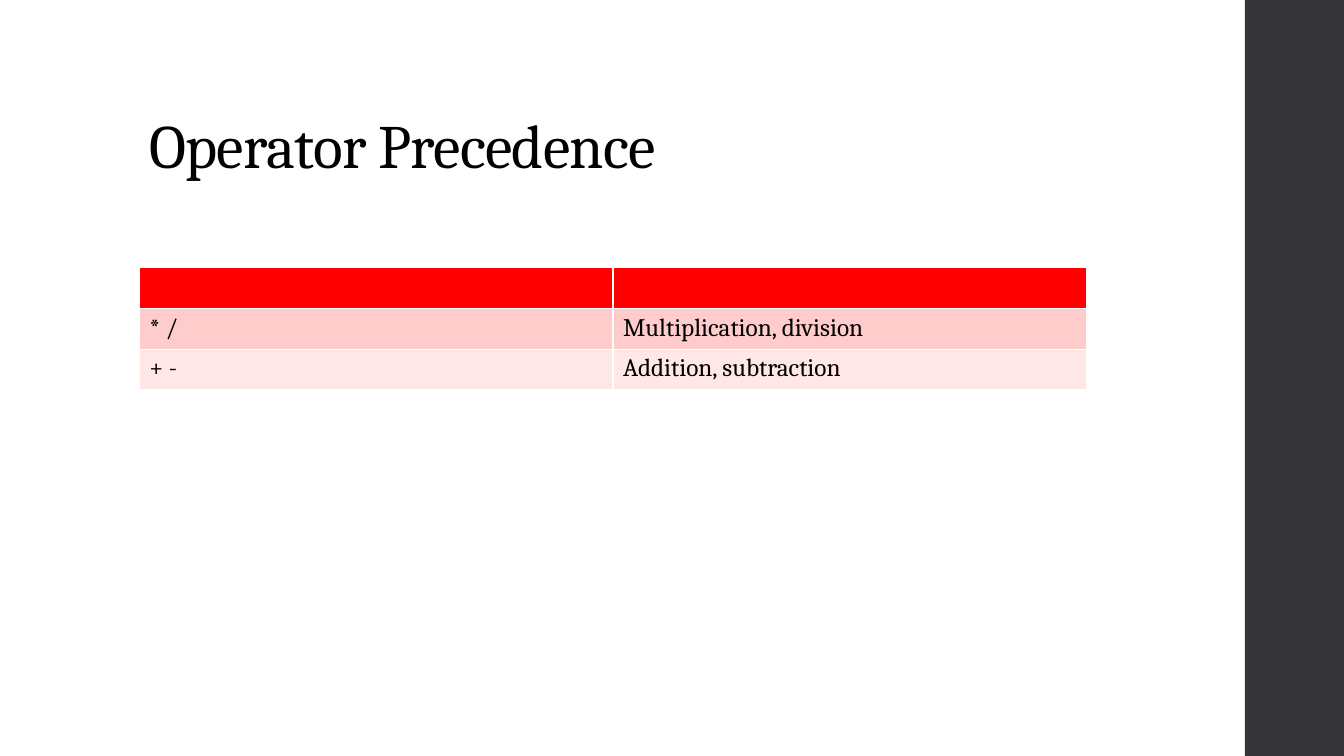
import pptx
import pptx.dml.color
import pptx.enum.shapes
import pptx.enum.text
import pptx.util

Pt = pptx.util.Pt
RGBColor = pptx.dml.color.RGBColor

BLACK = RGBColor(0x00, 0x00, 0x00)
CHARCOAL = RGBColor(0x35, 0x35, 0x37)
RED = RGBColor(0xFF, 0x00, 0x00)
PINK = RGBColor(0xFF, 0xCC, 0xCC)
PALE_PINK = RGBColor(0xFF, 0xE7, 0xE7)
FONT = "Cambria"

prs = pptx.Presentation()
prs.slide_width, prs.slide_height = Pt(960), Pt(540)
s = prs.slides.add_slide(prs.slide_layouts[5])

# Sidebar
sidebar = s.shapes.add_shape(
    pptx.enum.shapes.MSO_SHAPE.RECTANGLE, Pt(889.2), Pt(0), Pt(72), Pt(540))
sidebar.shadow.inherit = False
sidebar.fill.solid()
sidebar.fill.fore_color.rgb = CHARCOAL
sidebar.line.fill.background()

# Title
title = s.shapes.title
title.left, title.top, title.width, title.height = Pt(99.5), Pt(28.8), Pt(763.2), Pt(104.4)
tf = title.text_frame
tf.word_wrap = True
tf.vertical_anchor = pptx.enum.text.MSO_ANCHOR.BOTTOM
p = tf.paragraphs[0]
p.alignment = pptx.enum.text.PP_ALIGN.LEFT
p.line_spacing = 0.9
p.font.name, p.font.size = FONT, Pt(44)
p.font.color.rgb = BLACK
r = p.add_run()
r.text = "Operator Precedence"
r._r.get_or_add_rPr().set("spc", "-50")

# Precedence table; white rules come from the default table style
rows = [
    (RED, ("", "")),
    (PINK, ("* /", "Multiplication, division")),
    (PALE_PINK, ("+ -", "Addition, subtraction")),
]
table = s.shapes.add_table(
    len(rows), 2, Pt(99.5), Pt(191), Pt(676.8), Pt(29.2 * len(rows))).table
for row, (fill, texts) in enumerate(rows):
    for col, text in enumerate(texts):
        cell = table.cell(row, col)
        cell.fill.solid()
        cell.fill.fore_color.rgb = fill
        cell.text = text
        p = cell.text_frame.paragraphs[0]
        p.font.name, p.font.size = FONT, Pt(18)
        p.font.color.rgb = BLACK

prs.save("out.pptx")
